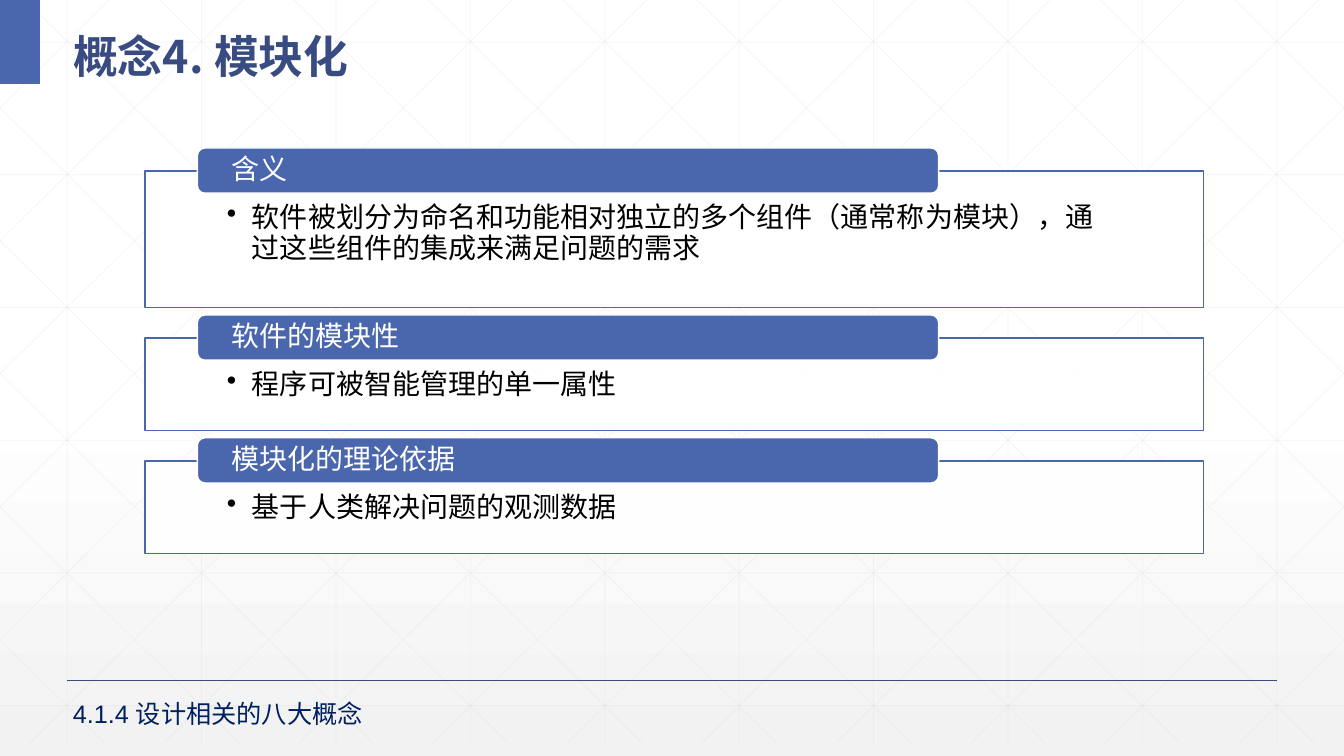
from lxml.etree import SubElement
from pptx import Presentation
from pptx.dml.color import RGBColor
from pptx.enum.shapes import MSO_CONNECTOR, MSO_SHAPE
from pptx.enum.text import MSO_ANCHOR, MSO_AUTO_SIZE, PP_ALIGN
from pptx.oxml.ns import qn
from pptx.util import Pt

EMU_PER_PX = 9525
SLIDE_WIDTH, SLIDE_HEIGHT = 1280, 720

BLUE = RGBColor(0x4A, 0x66, 0xAC)
DARK_BLUE = RGBColor(0x38, 0x4C, 0x81)
NAVY = RGBColor(0x00, 0x20, 0x60)
GRID_GRAY = RGBColor(0xD9, 0xD9, 0xD9)
PALE_GRAY = RGBColor(0xF2, 0xF2, 0xF2)
WHITE = RGBColor(0xFF, 0xFF, 0xFF)
BLACK = RGBColor(0x00, 0x00, 0x00)

# Heading, bullet and panel height
SECTIONS = [
    ("含义", "软件被划分为命名和功能相对独立的多个组件（通常称为模块），通过这些组件的集成来满足问题的需求", 130),
    ("软件的模块性", "程序可被智能管理的单一属性", 88),
    ("模块化的理论依据", "基于人类解决问题的观测数据", 88),
]
PANEL_GAP = 29


def px(length):
    return round(length * EMU_PER_PX)


def set_opacity(shape, percent):
    """Apply opacity to the first colour of a shape."""
    color = next(shape.element.iter(qn("a:srgbClr")))
    SubElement(color, qn("a:alpha")).set("val", str(percent * 1000))


def add_line(slide, start, end, color, width, opacity=100):
    line = slide.shapes.add_connector(MSO_CONNECTOR.STRAIGHT, *map(px, (*start, *end)))
    line.line.color.rgb = color
    line.line.width = Pt(width)
    SubElement(line.element.spPr, qn("a:effectLst"))
    if opacity < 100:
        set_opacity(line, opacity)


def add_box(slide, kind, box, fill, outline=None):
    shape = slide.shapes.add_shape(kind, *map(px, box))
    shape.shadow.inherit = False
    shape.fill.solid()
    shape.fill.fore_color.rgb = fill
    if outline is None:
        shape.line.fill.background()
    else:
        shape.line.color.rgb = outline
        shape.line.width = Pt(1)
    return shape


def write_text(shape, text, size, color, anchor, font="Arial", insets=None, bullet=False):
    frame = shape.text_frame
    frame.word_wrap = True
    frame.vertical_anchor = anchor
    if insets:
        frame.margin_left, frame.margin_top, frame.margin_right, frame.margin_bottom = map(px, insets)
    frame.text = text
    paragraph = frame.paragraphs[0]
    paragraph.alignment = PP_ALIGN.LEFT
    if bullet:
        properties = paragraph._p.get_or_add_pPr()
        properties.set("marL", str(px(24)))
        properties.set("indent", str(px(-24)))
        SubElement(properties, qn("a:buChar")).set("char", "•")
    paragraph.font.name = font
    paragraph.font.size = Pt(size)
    paragraph.font.color.rgb = color
    return paragraph


def add_background(slide, box):
    fill = slide.background.fill
    fill.gradient()
    fill.gradient_angle = 270
    for stop, color, position in zip(fill.gradient_stops, (WHITE, PALE_GRAY), (0.53, 1)):
        stop.color.rgb = color
        stop.position = position

    # Square grid
    left, top, width, height = box
    right, bottom = left + width, top + height
    lines = [((x, top), (x, bottom)) for x in range(left + 64, right, 128)]
    for row in range(6):
        y = top + 40 + row * 126.4
        lines.append(((left, y), (right, y)))

    # Diagonals, clipped at the side edges, and their mirror images
    run = 716
    for start in range(24 - 5 * 128, width, 128):
        first, last = max(start, 0), min(start + run, width)
        y_first, y_last = (top + (x - start) * height / run for x in (first, last))
        lines.append(((left + first, y_first), (left + last, y_last)))
        lines.append(((right - first, y_first), (right - last, y_last)))
    for start, end in lines:
        add_line(slide, start, end, GRID_GRAY, 0.5, 25)


def add_title(slide, box):
    left, top, width, height = box
    add_box(slide, MSO_SHAPE.RECTANGLE, (left, top, 38, height), BLUE)
    title = slide.shapes.title
    title.left, title.top, title.width, title.height = map(px, (left + 60, top + 10, width - 88, height - 10))
    paragraph = write_text(title, "概念4. 模块化", 32, DARK_BLUE, MSO_ANCHOR.MIDDLE, "Noto Sans CJK SC")
    paragraph.font.bold = True
    paragraph.line_spacing = 1.3
    title.text_frame.auto_size = MSO_AUTO_SIZE.NONE
    # Bring the title in front of the grid
    title.element.getparent().append(title.element)


def add_section(slide, box, heading, bullet):
    left, top, _, _ = box
    panel = add_box(slide, MSO_SHAPE.RECTANGLE, box, WHITE, BLUE)
    set_opacity(panel, 90)
    body = write_text(panel, bullet, 20, BLACK, MSO_ANCHOR.TOP, insets=(78, 31, 78, 15), bullet=True)
    label = add_box(slide, MSO_SHAPE.ROUNDED_RECTANGLE, (left + 50, top - 22, 706, 43), BLUE, WHITE)
    title = write_text(label, heading, 20, WHITE, MSO_ANCHOR.MIDDLE, insets=(30, 0, 30, 0))
    body.line_spacing = title.line_spacing = 0.9


def add_footer(slide, box):
    left, top, width, height = box
    add_line(slide, (left, top), (left + width, top), DARK_BLUE, 1)
    caption = slide.shapes.add_textbox(*map(px, (left - 4, top + 12, 363, height - 12)))
    write_text(caption, "4.1.4 设计相关的八大概念", 18, NAVY, MSO_ANCHOR.TOP)


def main():
    presentation = Presentation()
    presentation.slide_width = px(SLIDE_WIDTH)
    presentation.slide_height = px(SLIDE_HEIGHT)
    title_only = presentation.slide_layouts[5]
    slide = presentation.slides.add_slide(title_only)

    add_background(slide, (0, 0, SLIDE_WIDTH, 708))
    add_title(slide, (0, 0, SLIDE_WIDTH, 80))
    top = 163
    for heading, bullet, height in SECTIONS:
        add_section(slide, (138, top, 1008, height), heading, bullet)
        top += height + PANEL_GAP
    add_footer(slide, (64, 648, 1152, 50))

    presentation.save("out.pptx")


if __name__ == "__main__":
    main()
